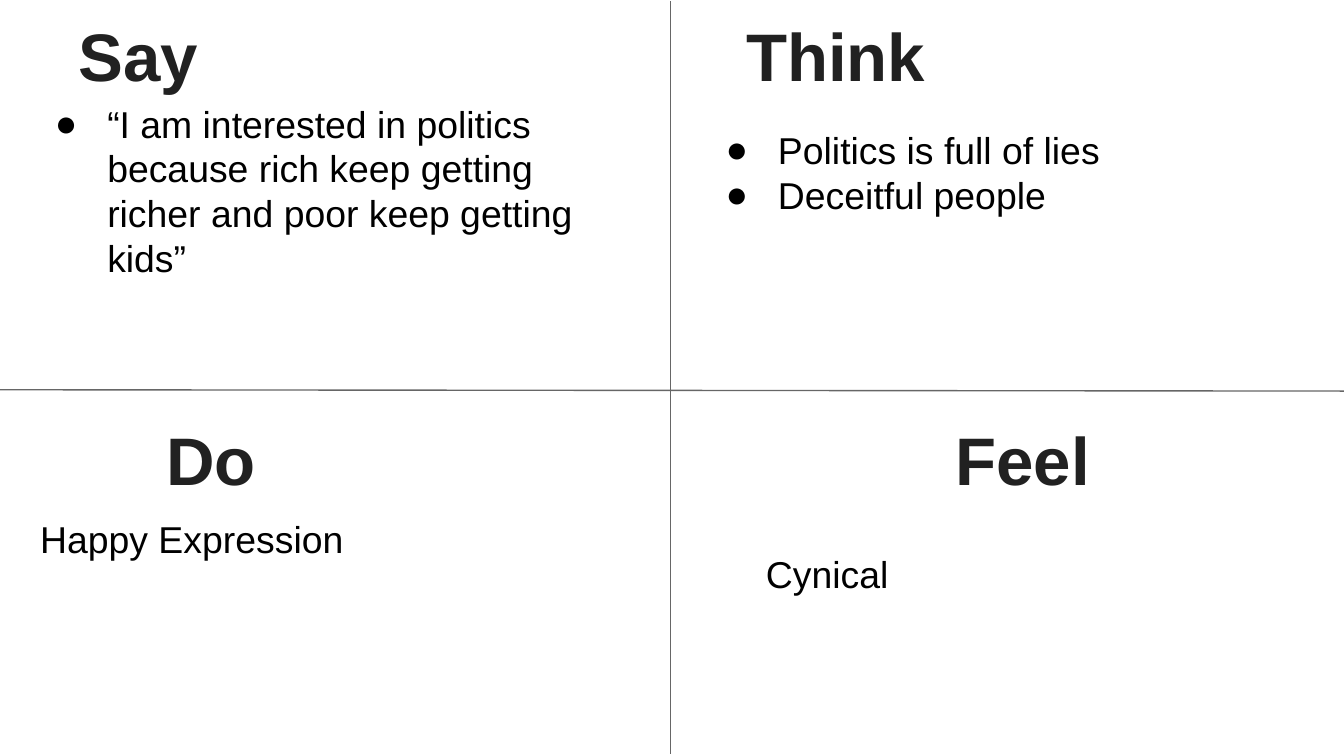
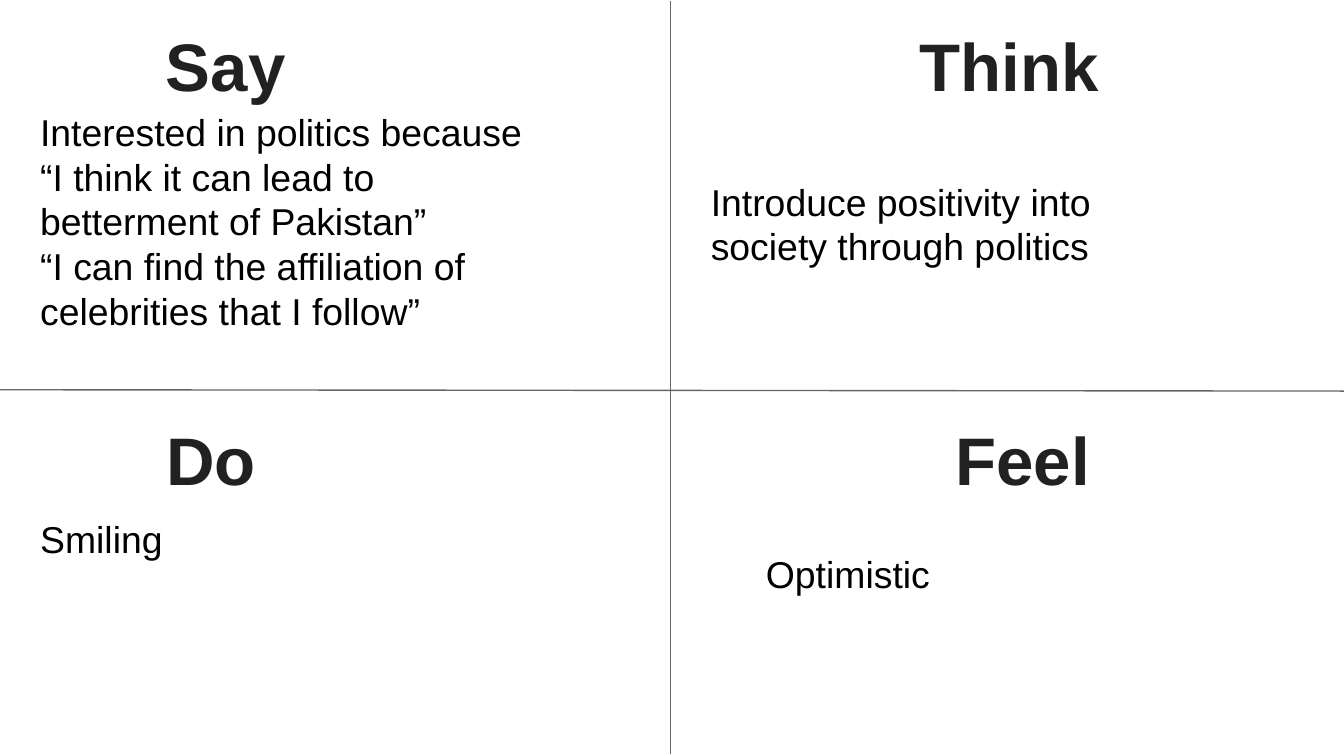
from lxml.etree import SubElement
from pptx import Presentation
from pptx.dml.color import RGBColor
from pptx.enum.shapes import MSO_CONNECTOR
from pptx.enum.text import MSO_ANCHOR, PP_ALIGN
from pptx.oxml.ns import qn
from pptx.util import Pt

PX = 9144
INK = {"title": "212121", "body": "000000", "rule": "666666"}
HEAD = {"name": "Arial", "size": Pt(36), "bold": True}
BODY = {"name": "Arial", "size": Pt(20), "bold": False}
FRAME = {"word_wrap": True, "vertical_anchor": MSO_ANCHOR.TOP}
FRAME.update({f"margin_{side}": 10 * PX for side in ("left", "top", "right", "bottom")})


def assign(target, values):
    for key, value in values.items():
        setattr(target, key, value)


class Deck:
    def __init__(self):
        self.file = Presentation()
        assign(self.file, {"slide_width": 1000 * PX, "slide_height": 5143500})
        self.slide = None

    def page(self):
        self.slide = self.file.slides.add_slide(self.file.slide_layouts[6])
        self.rule(499, 1, 499, 561)
        self.rule(-3, 290, 1003, 291)

    def rule(self, *ends):
        line = self.slide.shapes.add_connector(
            MSO_CONNECTOR.STRAIGHT, *(end * PX for end in ends))
        line.line.color.rgb = RGBColor.from_string(INK["rule"])
        line.line.width = Pt(0.75)
        SubElement(line._element.spPr, qn("a:effectLst"))

    def text(self, box, lines, font, ink, align=PP_ALIGN.LEFT, dots=False):
        shape = self.slide.shapes.add_textbox(*(side * PX for side in box))
        frame = shape.text_frame
        assign(frame, FRAME)
        frame.text = "\n".join(lines)
        for para in frame.paragraphs:
            para.alignment = align
            for run in para.runs:
                assign(run.font, font)
                run.font.color.rgb = RGBColor.from_string(INK[ink])
            if dots:
                self.bullet(para)

    def bullet(self, para):
        props = para._p.get_or_add_pPr()
        props.set("marL", str(50 * PX))
        props.set("indent", str(-39 * PX))
        SubElement(props, qn("a:buFont"), typeface="Arial")
        SubElement(props, qn("a:buChar"), char="●")

    def title(self, left, top, word):
        self.text((left, top, 206, 63), [word], HEAD, "title", PP_ALIGN.CENTER)

    def note(self, box, lines, dots=False):
        self.text(box, lines, BODY, "body", dots=dots)


PAGES = [
    [
        ("Say", (0, 1), (20, 65, 460, 199),
         ["“I am interested in politics because rich keep getting richer "
          "and poor keep getting kids”"], True),
        ("Think", (519, 1), (519, 85, 382, 136),
         ["Politics is full of lies", "Deceitful people"], True),
        ("Do", (54, 301), (20, 374, 382, 136), ["Happy Expression"], False),
        ("Feel", (658, 301), (560, 400, 382, 92), ["Cynical"], False),
    ],
    [
        ("Say", (65, 8), (20, 71, 382, 92),
         ["Interested in politics because “I think it can lead to "
          "betterment of Pakistan”",
          "“I can find the affiliation of celebrities that I follow”"], False),
        ("Think", (648, 8), (519, 123, 382, 92),
         ["Introduce positivity into society through politics"], False),
        ("Do", (54, 301), (20, 374, 382, 92), ["Smiling"], False),
        ("Feel", (658, 301), (560, 400, 382, 92), ["Optimistic"], False),
    ],
]


def main():
    deck = Deck()
    for page in PAGES:
        deck.page()
        for word, spot, box, lines, dots in page:
            deck.title(*spot, word)
            deck.note(box, lines, dots)
    deck.file.save("out.pptx")


if __name__ == "__main__":
    main()
